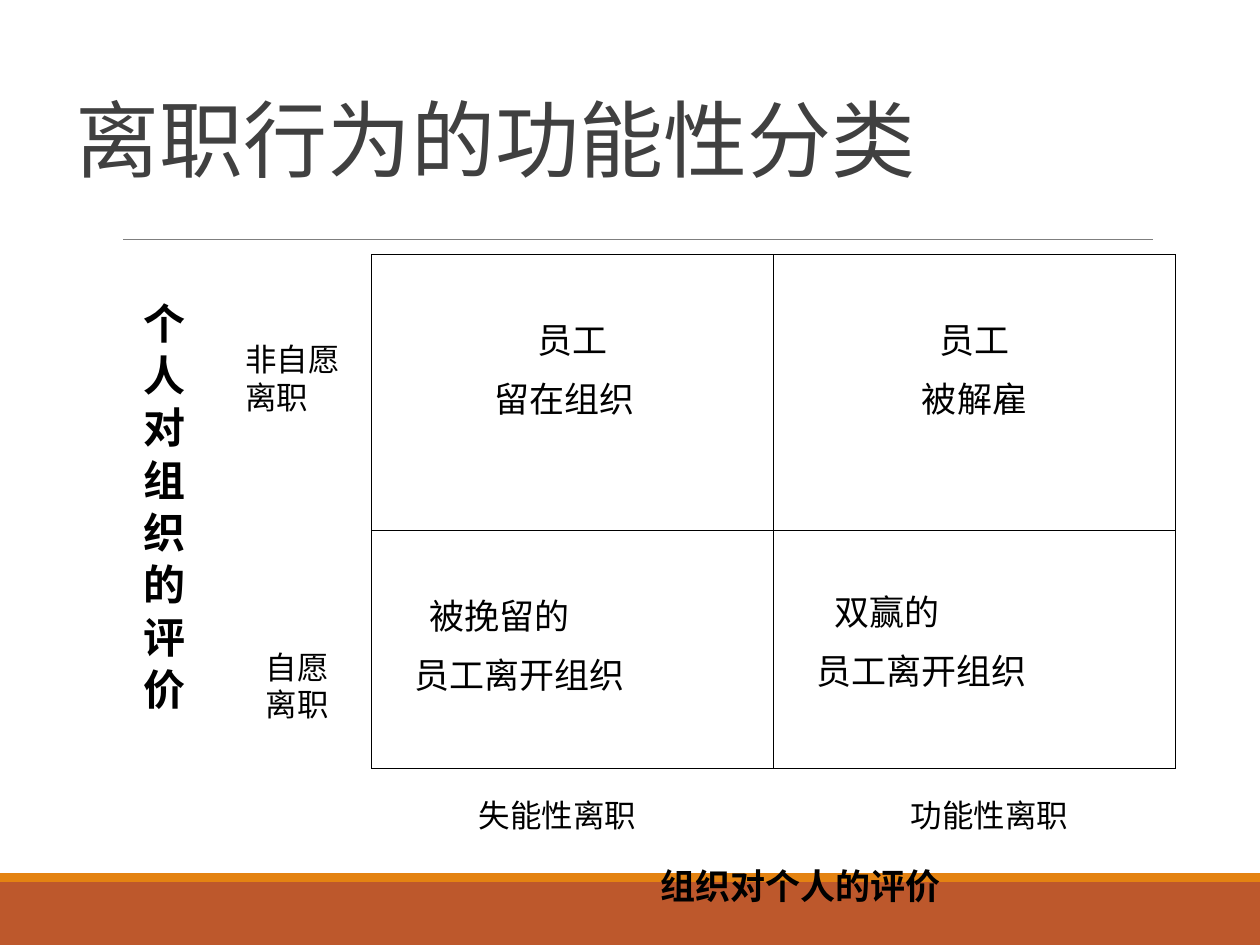
from lxml import etree
from pptx import Presentation
from pptx.dml.color import RGBColor
from pptx.enum.shapes import MSO_CONNECTOR as Connector, MSO_SHAPE as Shape
from pptx.enum.text import MSO_ANCHOR as Anchor, MSO_AUTO_SIZE as AutoSize, PP_ALIGN as Align
from pptx.oxml.ns import qn
from pptx.util import Inches, Pt

BLACK = RGBColor(0x00, 0x00, 0x00)
TITLE_GRAY = RGBColor(0x40, 0x40, 0x40)
RULE_GRAY = RGBColor(0x7F, 0x7F, 0x7F)
RUST = RGBColor(0xBD, 0x58, 0x2C)
ORANGE = RGBColor(0xE4, 0x83, 0x12)
CJK_FONT = "Noto Sans CJK SC"

LABELS = [
    ("非自愿\n离职", 1.85, 2.65, 1.73, 0.7, 18, False),
    ("自愿\n离职", 2.01, 5.09, 1.04, 0.7, 18, False),
    ("失能性离职", 3.7, 6.27, 1.92, 0.4, 18, False),
    ("功能性离职", 7.13, 6.27, 1.92, 0.4, 18, False),
    ("组织对个人的评价", 5.14, 6.81, 2.46, 0.44, 20, True),
]

QUADRANTS = [
    [("员工\n留在组织", CJK_FONT, 0.46, Align.CENTER, (0, 0), (0, 0.13)),
     ("员工\n被解雇", "Calibri", 0.46, Align.CENTER, (0, 0), (0, 0))],
    [("被挽留的\n员工离开组织", CJK_FONT, 0.46, Align.LEFT, (0.36, 0.24), (0, 0)),
     ("双赢的\n员工离开组织", CJK_FONT, 0.43, Align.LEFT, (0.38, 0.24), (0, 0))],
]


def format_runs(paragraph, font_name, size, color=BLACK, bold=False):
    for run in paragraph.runs:
        run.font.name = font_name
        run.font.size = Pt(size)
        run.font.bold = bold
        run.font.color.rgb = color
        east_asian = etree.Element(qn("a:ea"), typeface=CJK_FONT)
        run.font._element.find(qn("a:latin")).addnext(east_asian)


def add_band(slide, top, height, color):
    band = slide.shapes.add_shape(Shape.RECTANGLE, 0, Inches(top), Inches(10), Inches(height))
    band.shadow.inherit = False
    band.fill.solid()
    band.fill.fore_color.rgb = color
    band.line.fill.background()


def add_rule(slide):
    rule = slide.shapes.add_connector(
        Connector.STRAIGHT, Inches(0.98), Inches(1.9), Inches(9.15), Inches(1.9))
    rule.line.color.rgb = RULE_GRAY
    rule.line.width = Pt(0.5)
    etree.SubElement(rule._element.spPr, qn("a:effectLst"))


def format_title(slide, text):
    title = slide.shapes.title
    title.left, title.top, title.width, title.height = map(Inches, (0.5, 0.3, 9, 1.25))
    title.text_frame.text = text
    title.text_frame.vertical_anchor = Anchor.BOTTOM
    paragraph = title.text_frame.paragraphs[0]
    paragraph.alignment = Align.LEFT
    paragraph.line_spacing = 0.85
    format_runs(paragraph, "Calibri", 48, TITLE_GRAY)


def add_label(slide, text, left, top, width, height, size, bold, font_name="Arial"):
    label = slide.shapes.add_textbox(*map(Inches, (left, top, width, height)))
    frame = label.text_frame
    frame.text = text
    frame.word_wrap = True
    frame.auto_size = AutoSize.SHAPE_TO_FIT_TEXT
    for paragraph in frame.paragraphs:
        format_runs(paragraph, font_name, size, bold=bold)
    return label


def add_vertical_label(slide, text):
    label = add_label(slide, text, 0.94, 2.3, 0.6, 4.44, 24, True, CJK_FONT)
    frame = label.text_frame
    frame.word_wrap = False
    frame.margin_left = frame.margin_right = Inches(0.05)
    frame.margin_top = frame.margin_bottom = Inches(0.1)
    frame._txBody.bodyPr.set("vert", "eaVert")


def add_borders(cell):
    properties = cell._tc.get_or_add_tcPr()
    for index, side in enumerate(("lnL", "lnR", "lnT", "lnB")):
        border = etree.Element(qn(f"a:{side}"), w=str(Pt(0.45)))
        fill = etree.SubElement(border, qn("a:solidFill"))
        etree.SubElement(fill, qn("a:srgbClr"), val=str(BLACK))
        properties.insert(index, border)


def fill_cell(cell, text, font_name, top, alignment, left_indents, right_indents):
    cell.fill.background()
    add_borders(cell)
    cell.margin_top = Inches(top)
    cell.text_frame.text = text
    paragraphs = cell.text_frame.paragraphs
    for paragraph, left, right in zip(paragraphs, left_indents, right_indents):
        paragraph.alignment = alignment
        properties = paragraph._p.get_or_add_pPr()
        properties.set("marL", str(Inches(left)))
        properties.set("marR", str(Inches(right)))
        format_runs(paragraph, font_name, 20)
    paragraphs[1].space_before = Pt(5)


def add_quadrant_table(slide):
    frame = slide.shapes.add_table(2, 2, *map(Inches, (2.95, 2.02, 6.38, 4.08)))
    table = frame.table
    table.first_row = table.horz_banding = False
    for column in table.columns:
        column.width = Inches(3.19)
    for row, height, quadrants in zip(table.rows, (2.19, 1.89), QUADRANTS):
        row.height = Inches(height)
        for cell, quadrant in zip(row.cells, quadrants):
            fill_cell(cell, *quadrant)


def main():
    presentation = Presentation()
    presentation.slide_width = Inches(10)
    presentation.slide_height = Inches(7.5)
    slide = presentation.slides.add_slide(presentation.slide_layouts[5])
    add_band(slide, 7, 0.5, RUST)
    add_band(slide, 6.93, 0.07, ORANGE)
    add_rule(slide)
    format_title(slide, "离职行为的功能性分类")
    add_vertical_label(slide, "个 人 对 组 织 的 评 价")
    add_quadrant_table(slide)
    for label in LABELS:
        add_label(slide, *label)
    presentation.save("out.pptx")


if __name__ == "__main__":
    main()
